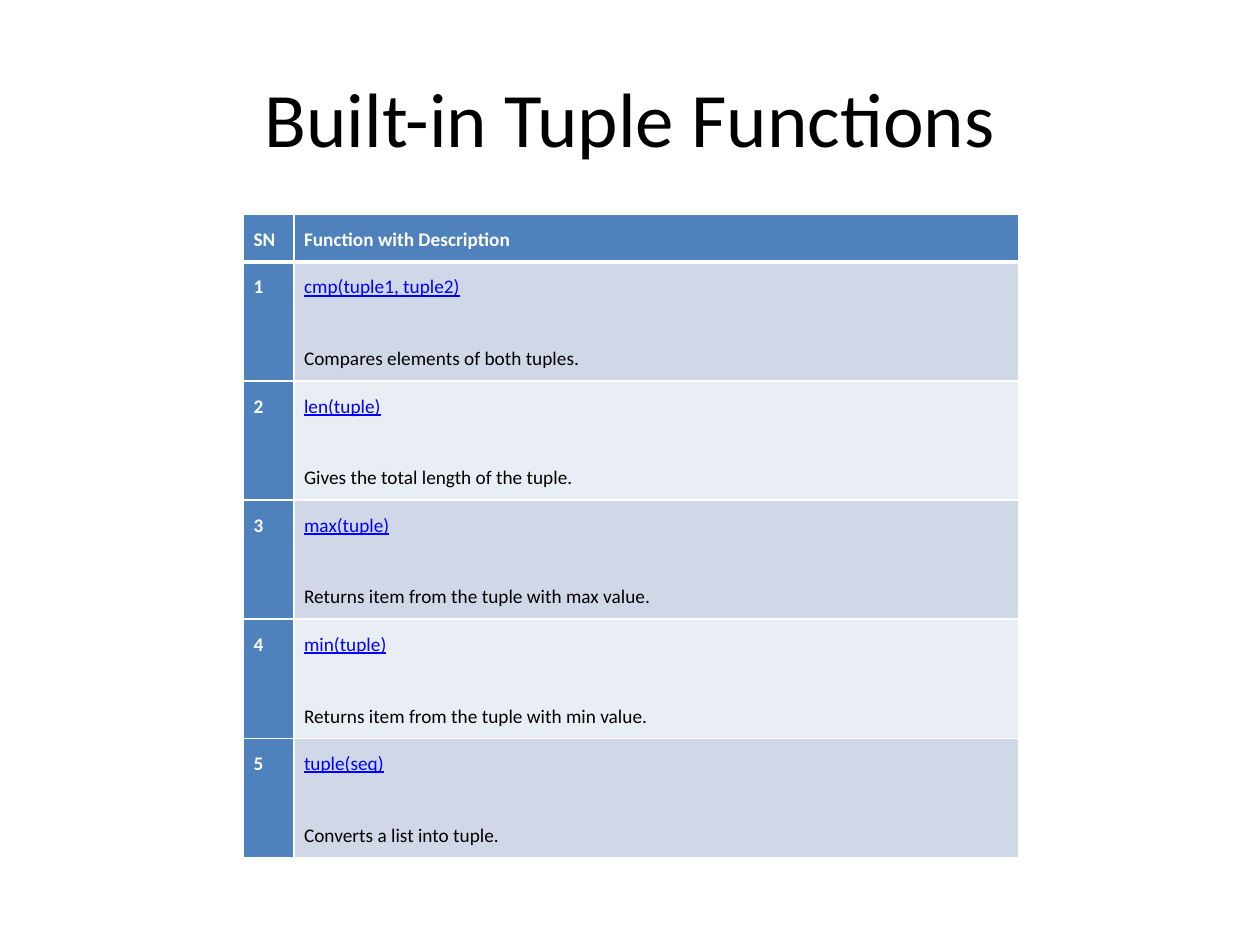
from dataclasses import dataclass

from lxml.etree import SubElement
from pptx import Presentation
from pptx.dml.color import RGBColor as RGB
from pptx.enum.text import MSO_ANCHOR as Anchor, PP_ALIGN as Align
from pptx.oxml.ns import qn
from pptx.util import Pt


@dataclass(frozen=True)
class Theme:
    font: str = "Calibri"
    title_size: float = 44
    cell_size: float = 11
    ink: str = "000000"
    white: str = "FFFFFF"
    accent: str = "4F81BD"
    link: str = "0000FF"
    bands: tuple = ("D0D8E8", "E9EDF4")
    thin: float = 1
    thick: float = 3


FUNCTIONS = [
    ("cmp(tuple1, tuple2)", "Compares elements of both tuples."),
    ("len(tuple)", "Gives the total length of the tuple."),
    ("max(tuple)", "Returns item from the tuple with max value."),
    ("min(tuple)", "Returns item from the tuple with min value."),
    ("tuple(seq)", "Converts a list into tuple."),
]
COLUMN_WIDTHS = (28.8, 414)
HEADER_HEIGHT, ROW_HEIGHT = 26.8, 67.2
CELL_INSET = 5.75
DESCRIPTION_GAP = 15.4  # one line of cell text


def apply(target, values):
    for name, value in values.items():
        setattr(target, name, value)


class SlideBuilder:
    def __init__(self, slide, theme):
        self.slide, self.theme = slide, theme

    def text_run(self, paragraph, text, size, color, **formats):
        run = paragraph.add_run()
        run.text = text
        apply(run.font, {"name": self.theme.font, "size": Pt(size), **formats})
        run.font.color.rgb = RGB.from_string(color)

    def title(self, text, left, top, width, height):
        heading = self.slide.shapes.title
        apply(heading, {"left": Pt(left), "top": Pt(top),
                        "width": Pt(width), "height": Pt(height)})
        heading.text_frame.vertical_anchor = Anchor.MIDDLE
        paragraph = heading.text_frame.paragraphs[0]
        paragraph.alignment = Align.CENTER
        self.text_run(paragraph, text, self.theme.title_size, self.theme.ink)

    def table(self, left, top, widths, heights):
        grid = self.slide.shapes.add_table(
            len(heights), len(widths), Pt(left), Pt(top),
            Pt(sum(widths)), Pt(sum(heights))).table
        for column, width in zip(grid.columns, widths):
            column.width = Pt(width)
        for row, height in zip(grid.rows, heights):
            row.height = Pt(height)
        return grid

    def borders(self, cell, top, bottom):
        thin = self.theme.thin
        properties = cell._tc.get_or_add_tcPr()
        sides = {"a:lnL": thin, "a:lnR": thin, "a:lnT": top, "a:lnB": bottom}
        for index, (side, width) in enumerate(sides.items()):
            line = SubElement(properties, qn(side), w=str(int(Pt(width))))
            fill = SubElement(line, qn("a:solidFill"))
            SubElement(fill, qn("a:srgbClr"), val=self.theme.white)
            properties.insert(index, line)  # lines come before the fill

    def cell(self, cell, fill, lines, top, bottom):
        """Each line is (text, colour, space before, font formats)."""
        apply(cell, {f"margin_{side}": Pt(CELL_INSET)
                     for side in ("left", "top", "right", "bottom")})
        cell.fill.solid()
        cell.fill.fore_color.rgb = RGB.from_string(fill)
        self.borders(cell, top, bottom)
        frame = cell.text_frame
        for index, (text, color, gap, formats) in enumerate(lines):
            paragraph = frame.add_paragraph() if index else frame.paragraphs[0]
            apply(paragraph, {"line_spacing": 1.15, "space_before": Pt(gap),
                              "space_after": Pt(10)})
            self.text_run(paragraph, text, self.theme.cell_size, color, **formats)


def main():
    deck = Presentation()
    apply(deck, {"slide_width": Pt(720), "slide_height": Pt(540)})
    theme = Theme()
    builder = SlideBuilder(deck.slides.add_slide(deck.slide_layouts[5]), theme)

    # Title
    builder.title("Built-in Tuple Functions", 36, 21.6, 648, 90)

    # Table header
    grid = builder.table(139.2, 122.6, COLUMN_WIDTHS,
                         [HEADER_HEIGHT] + [ROW_HEIGHT] * len(FUNCTIONS))

    def label(text):
        return [(text, theme.white, 0, {"bold": True})]

    for column, heading in enumerate(("SN", "Function with Description")):
        builder.cell(grid.cell(0, column), theme.accent, label(heading),
                     theme.thin, theme.thick)

    # One row per function
    for number, (signature, description) in enumerate(FUNCTIONS, 1):
        top = theme.thick if number == 1 else theme.thin
        band = theme.bands[(number - 1) % len(theme.bands)]
        entry = [
            (signature, theme.link, 0, {"bold": False, "underline": True}),
            (description, theme.ink, DESCRIPTION_GAP, {"bold": False}),
        ]
        builder.cell(grid.cell(number, 0), theme.accent, label(str(number)),
                     top, theme.thin)
        builder.cell(grid.cell(number, 1), band, entry, top, theme.thin)

    deck.save("out.pptx")


if __name__ == "__main__":
    main()
